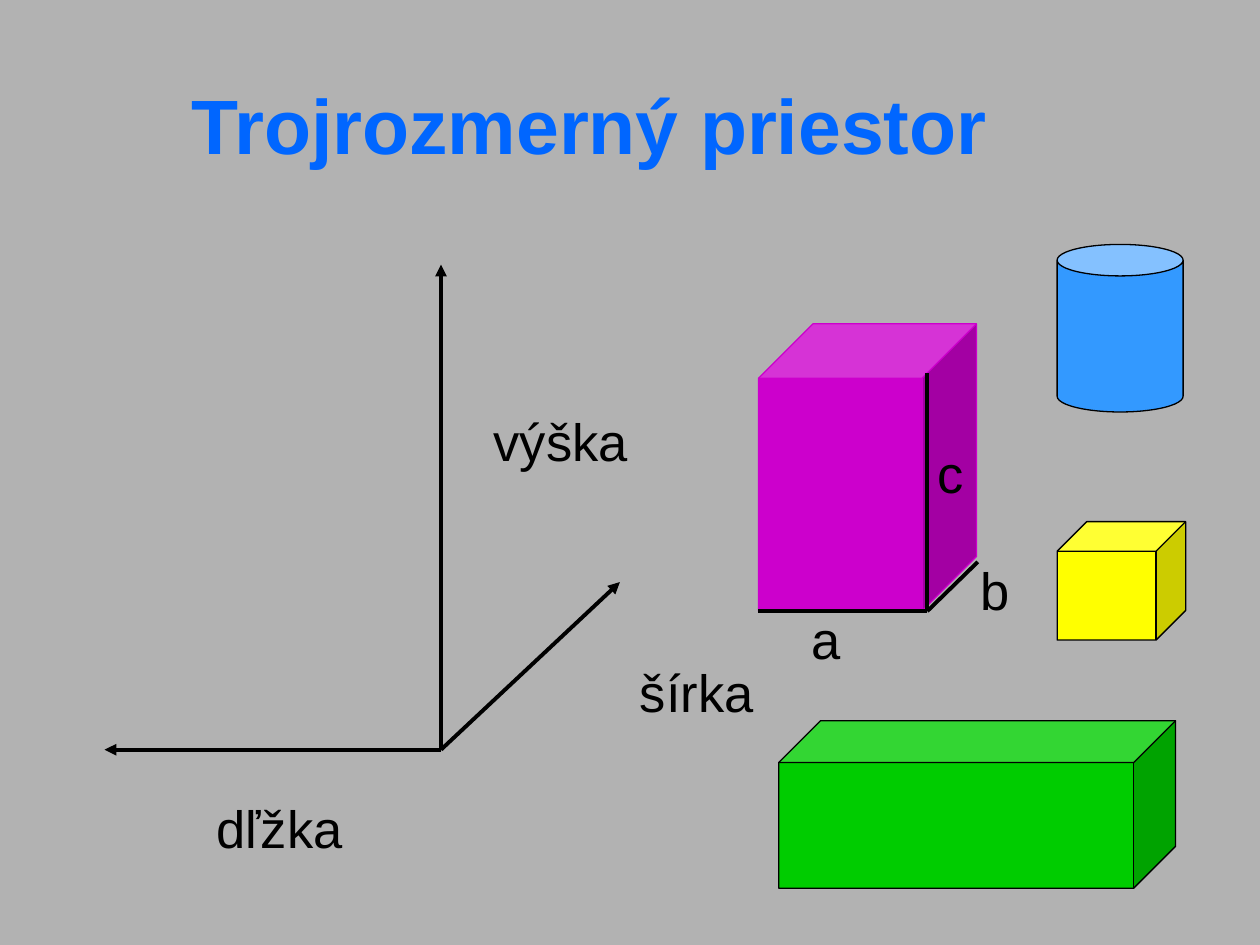
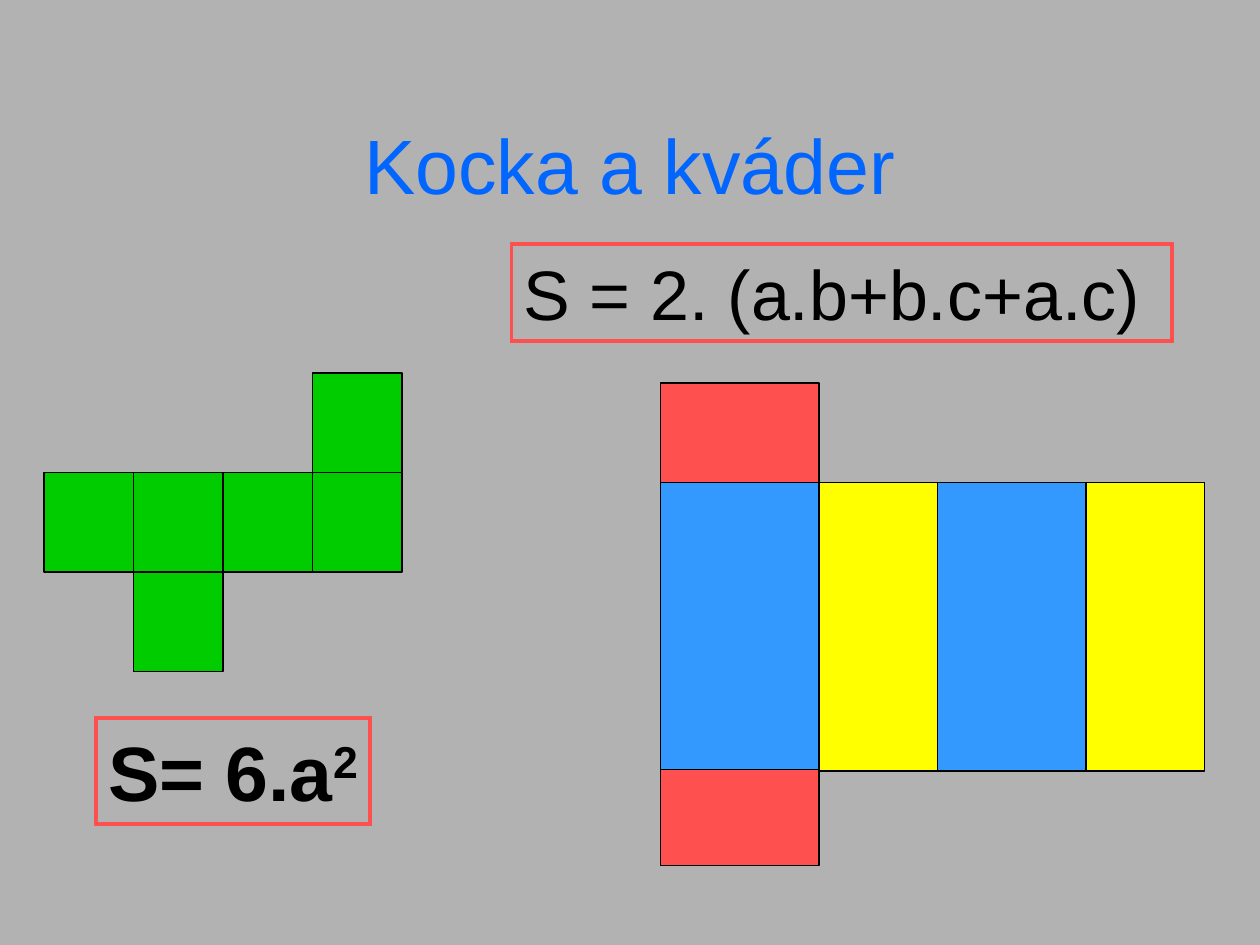
from lxml import etree
from pptx import Presentation
from pptx.dml.color import RGBColor
from pptx.enum.shapes import MSO_CONNECTOR, MSO_SHAPE
from pptx.enum.text import MSO_ANCHOR, MSO_AUTO_SIZE, PP_ALIGN
from pptx.oxml.ns import qn
from pptx.util import Inches, Pt

STRAIGHT = MSO_CONNECTOR.STRAIGHT
RECTANGLE, CUBE, CAN = MSO_SHAPE.RECTANGLE, MSO_SHAPE.CUBE, MSO_SHAPE.CAN
TOP, MIDDLE = MSO_ANCHOR.TOP, MSO_ANCHOR.MIDDLE
LEFT, CENTER = PP_ALIGN.LEFT, PP_ALIGN.CENTER
FIT = MSO_AUTO_SIZE.SHAPE_TO_FIT_TEXT
FONT = "Arial"
COLORS = {
    name: RGBColor.from_string(value)
    for name, value in {
        "background": "B2B2B2",
        "title": "0066FF",
        "black": "000000",
        "blue": "3399FF",
        "green": "00CC00",
        "yellow": "FFFF00",
        "purple": "CC00CC",
        "red": "FF5050",
    }.items()
}


def add_text(slide, text, left, top, width, height, size,
             color="black", bold=False, align=LEFT, anchor=TOP, wrap=False):
    box = slide.shapes.add_textbox(Inches(left), Inches(top), Inches(width), Inches(height))
    frame = box.text_frame
    frame.text = text
    frame.word_wrap = wrap
    frame.vertical_anchor = anchor
    if anchor == TOP:
        frame.auto_size = FIT
    paragraph = frame.paragraphs[0]
    paragraph.alignment = align
    for run in paragraph.runs:
        run.font.name = FONT
        run.font.size = Pt(size)
        run.font.bold = bold
        run.font.color.rgb = COLORS[color]
    return box


def add_figure(slide, kind, left, top, width, height, fill, outline="black"):
    figure = slide.shapes.add_shape(kind, Inches(left), Inches(top), Inches(width), Inches(height))
    figure.shadow.inherit = False
    figure.fill.solid()
    figure.fill.fore_color.rgb = COLORS[fill]
    figure.line.color.rgb = COLORS[outline]
    figure.line.width = Pt(0.75)


prs = Presentation()
prs.slide_width, prs.slide_height = Inches(10), Inches(7.5)

slides = []
for title, left, top, bold in [
    ("Trojrozmerný priestor", 0.43, 0.36, True),
    ("Kocka a kváder", 0.75, 0.67, False),
]:
    slide = prs.slides.add_slide(prs.slide_layouts[6])
    slide.background.fill.solid()
    slide.background.fill.fore_color.rgb = COLORS["background"]
    add_text(slide, title, left, top, 8.5, 1.25, 44, "title", bold, CENTER, MIDDLE, True)
    slides.append(slide)
space, nets = slides

for kind, left, top, width, height, fill, outline in [
    (CAN, 8.39, 1.94, 1, 1.33, "blue", "black"),
    (CUBE, 6.18, 5.72, 3.15, 1.33, "green", "black"),
    (CUBE, 8.39, 4.14, 1.02, 0.94, "yellow", "black"),
    (CUBE, 6.02, 2.57, 1.73, 2.28, "purple", "purple"),
]:
    add_figure(space, kind, left, top, width, height, fill, outline)

origin, corner = (3.5, 5.95), (7.36, 4.85)
for start, end, has_arrow in [
    (corner, (6.02, 4.85), False),
    (corner, (7.76, 4.46), False),
    (corner, (7.36, 2.96), False),
    (origin, (0.83, 5.95), True),
    (origin, (3.5, 2.1), True),
    (origin, (4.92, 4.62), True),
]:
    edge = space.shapes.add_connector(STRAIGHT, *(Inches(v) for v in start + end))
    edge.line.color.rgb = COLORS["black"]
    edge.line.width = Pt(2.25)
    properties = edge._element.spPr
    if has_arrow:
        etree.SubElement(properties.find(qn("a:ln")), qn("a:tailEnd"), type="triangle")
    etree.SubElement(properties, qn("a:effectLst"))

for label, left, top, width in [
    ("dľžka", 1.62, 6.27, 1.2),
    ("šírka", 4.98, 5.19, 1.1),
    ("výška", 3.82, 3.2, 1.28),
    ("a", 6.34, 4.77, 0.43),
    ("b", 7.68, 4.38, 0.43),
    ("c", 7.34, 3.45, 0.41),
]:
    add_text(space, label, left, top, width, 0.6, 30)

face_width, face_height = 0.71, 0.79
for column, row in [(1, 2), (2, 1), (3, 1), (1, 1), (0, 1), (3, 0)]:
    add_figure(nets, RECTANGLE, 0.35 + column * face_width, 2.96 + row * face_height,
               face_width, face_height, "green")

for left, top, width, height, fill in [
    (5.24, 3.83, 1.26, 2.29, "blue"),
    (7.36, 3.83, 1.26, 2.29, "blue"),
    (6.5, 3.83, 0.94, 2.29, "yellow"),
    (8.62, 3.83, 0.94, 2.29, "yellow"),
    (5.24, 3.04, 1.26, 0.79, "red"),
    (5.24, 6.11, 1.26, 0.76, "red"),
]:
    add_figure(nets, RECTANGLE, left, top, width, height, fill)

cube_surface = add_text(nets, "S= 6.a", 0.76, 5.7, 2.18, 0.84, 44, bold=True)
exponent = cube_surface.text_frame.paragraphs[0].add_run()
exponent.text = "2"
exponent.font.name = FONT
exponent.font.size = Pt(44)
exponent.font.bold = True
exponent.font.color.rgb = COLORS["black"]
exponent._r.get_or_add_rPr().set("baseline", "30000")

cuboid_surface = add_text(nets, "S = 2. (a.b+b.c+a.c)", 4.06, 1.94, 5.24, 0.77, 40, wrap=True)
for formula in (cube_surface, cuboid_surface):
    formula.line.color.rgb = COLORS["red"]
    formula.line.width = Pt(2.25)
    outline = formula._element.spPr.find(qn("a:ln"))
    etree.SubElement(outline, qn("a:miter"), lim="800000")

prs.save("out.pptx")
